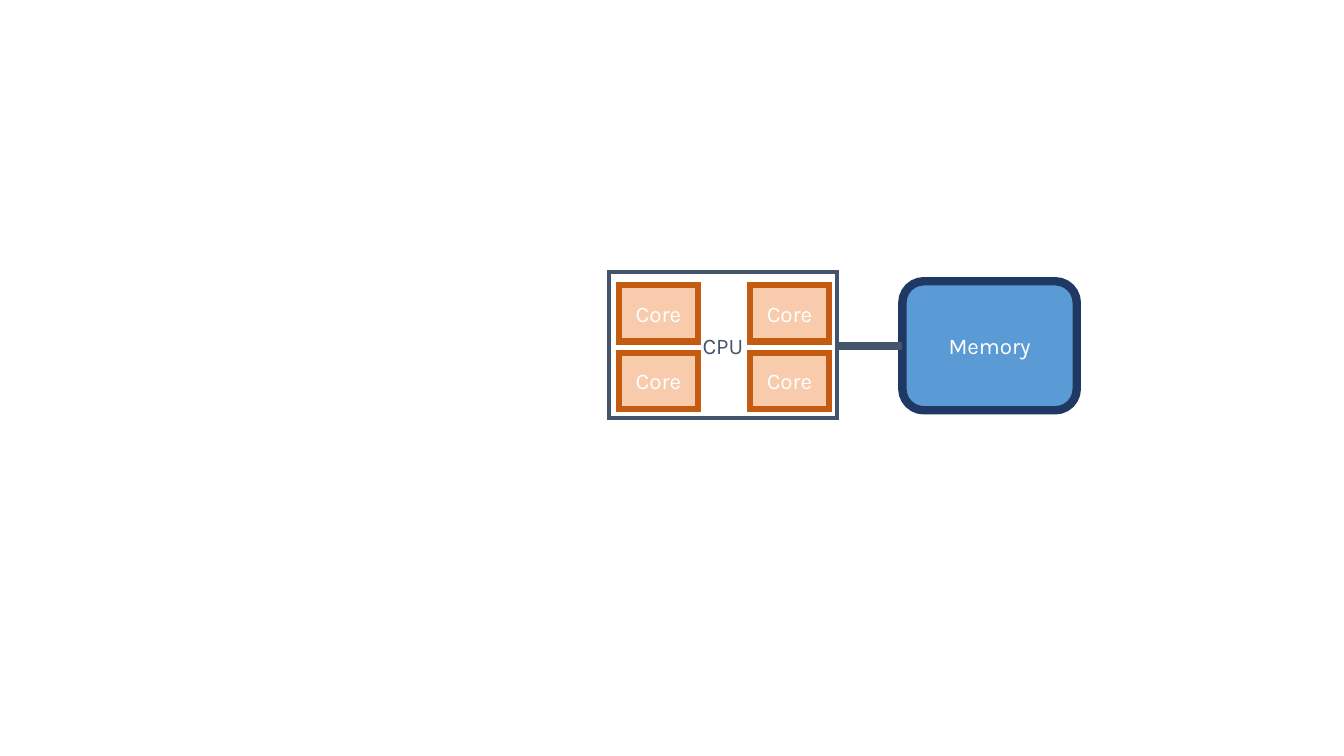
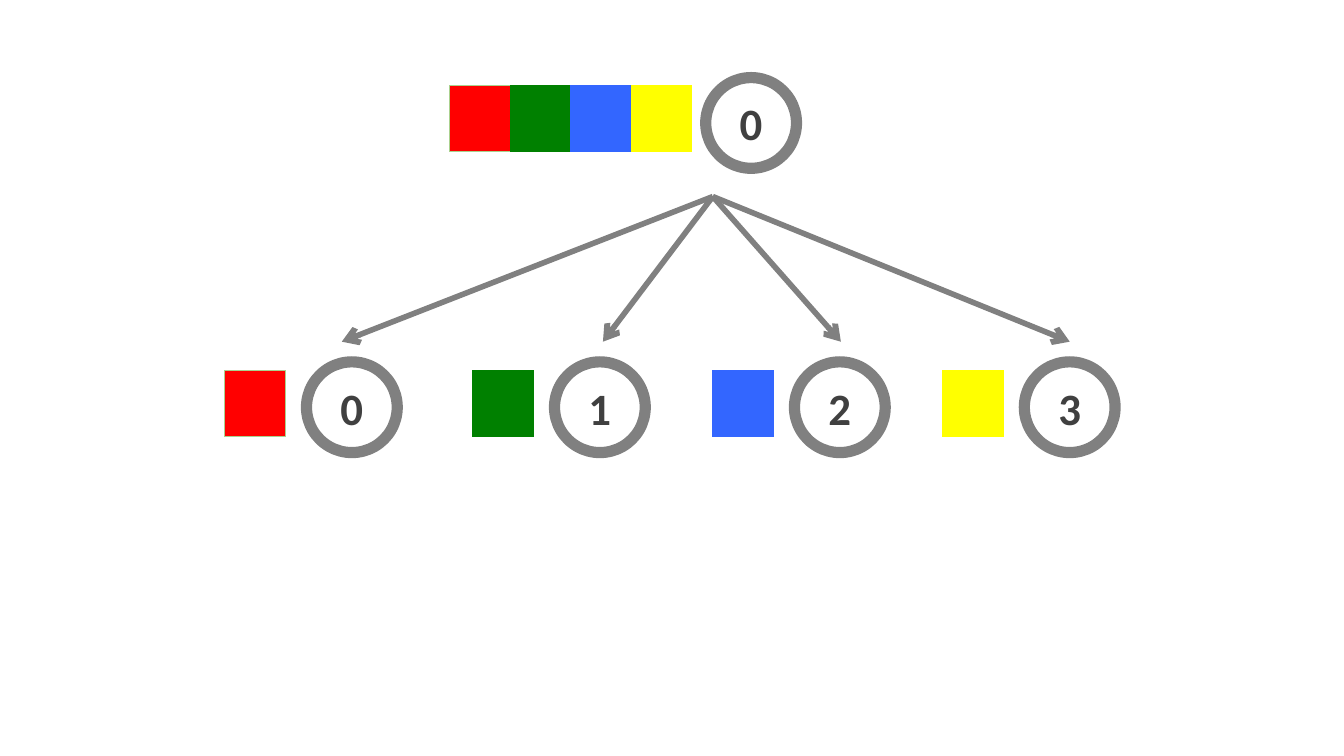
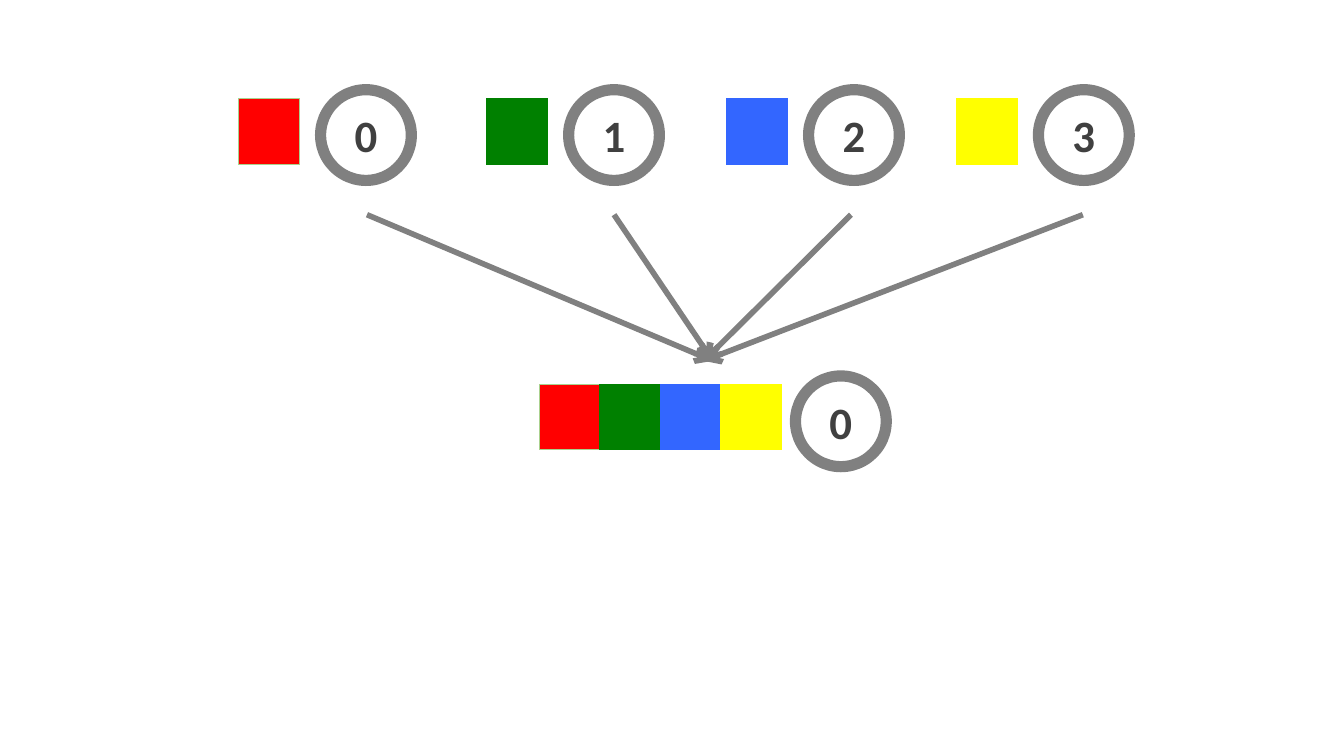
from dataclasses import dataclass

from lxml import etree
from pptx import Presentation
from pptx import util as u
from pptx.dml.color import RGBColor
from pptx.enum import shapes, text
from pptx.oxml import ns

EMU_PER_PX = 9144  # 100 px to the inch


# Shared look
@dataclass(frozen=True)
class Theme:
    diagram_font: str = "Karla"
    digit_font: str = "Calibri"
    label_size: int = 16
    digit_size: int = 32
    white: str = "FFFFFF"
    slate: str = "44546A"
    navy: str = "203864"
    memory_blue: str = "5B9BD5"
    core_fill: str = "F8CBAD"
    core_line: str = "C55A11"
    gray: str = "808080"
    digit: str = "404040"
    red: str = "FF0000"
    red_edge: str = "A9D18E"
    green: str = "008000"
    blue: str = "3366FF"
    yellow: str = "FFFF00"


THEME = Theme()
DATA_COLORS = (THEME.red, THEME.green, THEME.blue, THEME.yellow)

# Process layout
SWATCH_WIDTH, SWATCH_HEIGHT = 60, 65
CIRCLE = 90
PROCESS_LEFTS = (223, 469, 707, 935)


def px(length):
    return u.Emu(length * EMU_PER_PX)


def rgb(color):
    return RGBColor.from_string(color)


# Elements
def add_box(parent, kind, box, fill, line, line_width):
    shape = parent.shapes.add_shape(kind, *map(px, box))
    shape.shadow.inherit = False
    if fill:
        shape.fill.solid()
        shape.fill.fore_color.rgb = rgb(fill)
    else:
        shape.fill.background()
    shape.line.color.rgb = rgb(line)
    shape.line.width = u.Pt(line_width)
    # Square corners on thick outlines
    outline = shape.line._get_or_add_ln()
    etree.SubElement(outline, ns.qn("a:miter"), lim="800000")
    return shape


def add_label(shape, label, color, font=THEME.diagram_font,
              size=THEME.label_size, bold=False):
    frame = shape.text_frame
    frame.margin_left = frame.margin_right = 0
    frame.margin_top = frame.margin_bottom = 0
    frame.vertical_anchor = text.MSO_ANCHOR.MIDDLE
    frame.text = label
    paragraph = frame.paragraphs[0]
    paragraph.alignment = text.PP_ALIGN.CENTER
    paragraph.font.name = font
    paragraph.font.size = u.Pt(size)
    paragraph.font.bold = bold
    paragraph.font.color.rgb = rgb(color)


def add_line(slide, start, end, color, width, arrow=False):
    connector = slide.shapes.add_connector(
        shapes.MSO_CONNECTOR.STRAIGHT, *map(px, (*start, *end)))
    connector.line.color.rgb = rgb(color)
    connector.line.width = u.Pt(width)
    if arrow:
        outline = connector.line._get_or_add_ln()
        etree.SubElement(outline, ns.qn("a:tailEnd"), type="arrow")
    etree.SubElement(connector._element.spPr, ns.qn("a:effectLst"))


def add_process(slide, rank, colors, left, top, gap, drop):
    """Group a row of data swatches with the numbered circle holding them."""
    group = slide.shapes.add_group_shape()
    for index, color in enumerate(colors):
        edge = THEME.red_edge if color == THEME.red else color
        box = (left + index * SWATCH_WIDTH, top + drop,
               SWATCH_WIDTH, SWATCH_HEIGHT)
        add_box(group, shapes.MSO_SHAPE.RECTANGLE, box, color, edge, 0)
    circle_left = left + len(colors) * SWATCH_WIDTH + gap
    circle = add_box(group, shapes.MSO_SHAPE.OVAL,
                     (circle_left, top, CIRCLE, CIRCLE), None, THEME.gray, 8)
    add_label(circle, str(rank), THEME.digit, THEME.digit_font,
              THEME.digit_size, bold=True)


def add_process_row(slide, top, shift=0):
    for rank, (color, left) in enumerate(zip(DATA_COLORS, PROCESS_LEFTS)):
        add_process(slide, rank, [color], left + shift, top, gap=21, drop=9)


def add_root(slide, left, top):
    add_process(slide, 0, DATA_COLORS, left, top, gap=14, drop=8)


def add_arrows(slide, starts, ends):
    for start, end in zip(starts, ends):
        add_line(slide, start, end, THEME.gray, 4, arrow=True)


# Slides
def build_shared_memory(slide):
    memory = add_box(slide, shapes.MSO_SHAPE.ROUNDED_RECTANGLE,
                     (895, 279, 173, 128), THEME.memory_blue, THEME.navy, 6)
    add_label(memory, "Memory", THEME.white)
    add_line(slide, (831, 343), (895, 343), THEME.slate, 6)

    group = slide.shapes.add_group_shape()
    cpu = add_box(group, shapes.MSO_SHAPE.RECTANGLE, (604, 270, 226, 145),
                  THEME.white, THEME.slate, 3)
    add_label(cpu, "CPU", THEME.slate)
    for row in range(2):
        for column in range(2):
            box = (614 + column * 130, 283 + row * 67, 78, 56)
            core = add_box(group, shapes.MSO_SHAPE.RECTANGLE, box,
                           THEME.core_fill, THEME.core_line, 4.5)
            add_label(core, "Core", THEME.white)


def build_scatter(slide):
    add_root(slide, 446, 77)
    add_process_row(slide, 359)
    add_arrows(slide, [(707, 195)] * 4,
               [(x, 339) for x in (339, 598, 834, 1061)])


def build_gather(slide):
    add_process_row(slide, 89, shift=14)
    add_arrows(slide, [(x, 213) for x in (364, 609, 844, 1074)],
               [(x, 358) for x in (707, 707, 698, 698)])
    add_root(slide, 535, 373)


def main():
    presentation = Presentation()
    presentation.slide_width = px(1333)
    presentation.slide_height = px(750)
    blank = presentation.slide_layouts[6]
    for build in (build_shared_memory, build_scatter, build_gather):
        build(presentation.slides.add_slide(blank))
    presentation.save("out.pptx")


if __name__ == "__main__":
    main()
